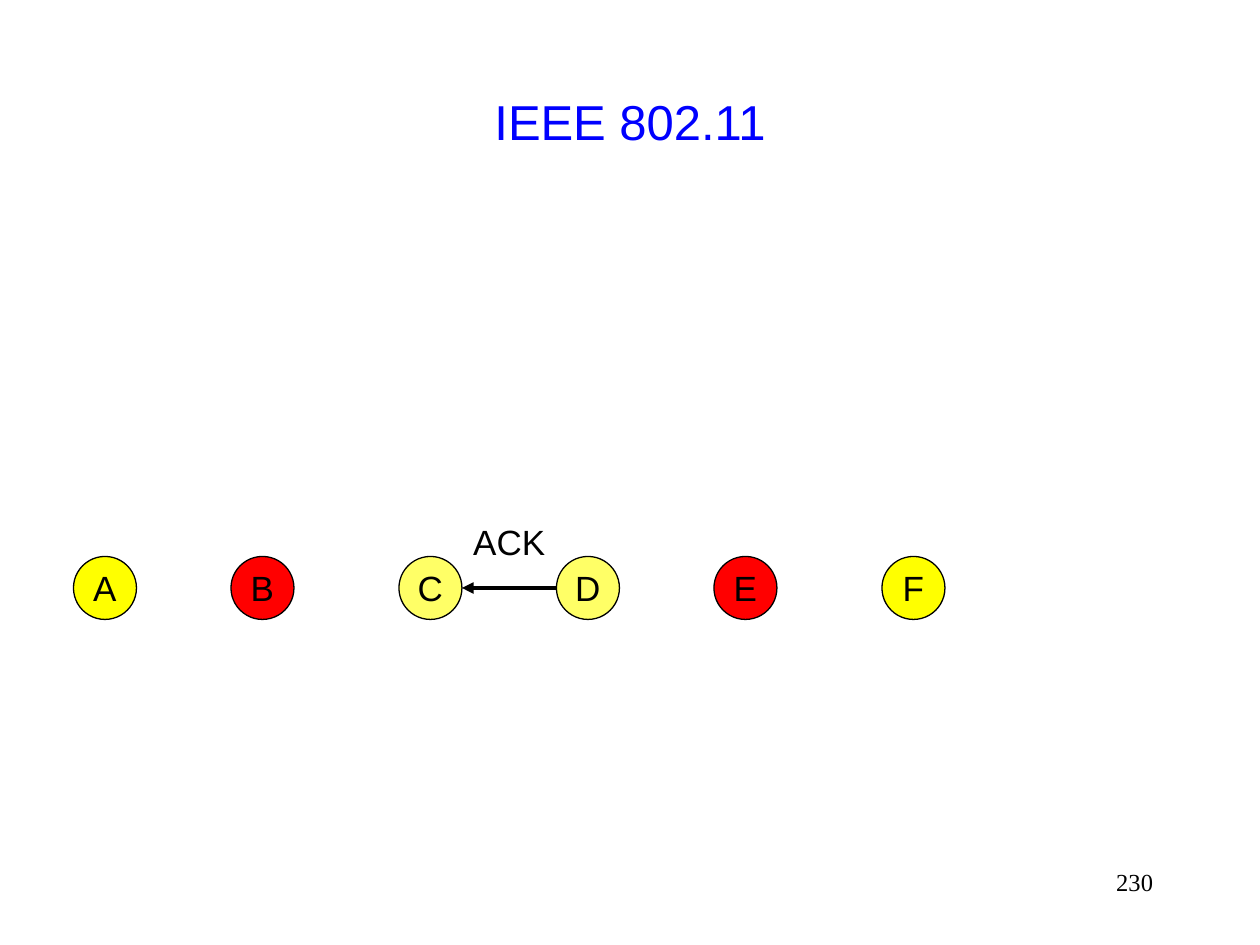
from lxml.etree import SubElement
from pptx import Presentation
from pptx.dml.color import RGBColor
from pptx.enum.shapes import MSO_CONNECTOR, MSO_SHAPE
from pptx.enum.text import MSO_ANCHOR, MSO_AUTO_SIZE, PP_ALIGN
from pptx.oxml.ns import qn
from pptx.util import Emu, Pt

PX = 7620  # 120 px to the inch
BLACK, BLUE = "000000", "0000FF"
YELLOW, PALE_YELLOW, RED = "FFFF00", "FFFF66", "FF0000"
NODE_SIZE = 60
NODES = [
    ("A", 0, YELLOW),
    ("B", 150, RED),
    ("C", 310, PALE_YELLOW),
    ("D", 460, PALE_YELLOW),
    ("E", 610, RED),
    ("F", 770, YELLOW),
]


def px(*lengths):
    return [Emu(length * PX) for length in lengths]


def color(hex_string):
    return RGBColor.from_string(hex_string)


def write(shape, text, size, font="Arial", fill=BLACK, align=PP_ALIGN.CENTER,
          anchor=MSO_ANCHOR.MIDDLE, wrap=False):
    frame = shape.text_frame
    frame.word_wrap = wrap
    frame.vertical_anchor = anchor
    paragraph = frame.paragraphs[0]
    paragraph.alignment = align
    run = paragraph.add_run()
    run.text = text
    run.font.name = font
    run.font.size = Pt(size)
    run.font.color.rgb = color(fill)


def add_title(slide, left, top, width, height):
    title = slide.shapes.title
    title.left, title.top, title.width, title.height = px(left, top, width, height)
    write(title, "IEEE 802.11", 28, fill=BLUE, wrap=True)


def add_node(slide, name, left, top, fill):
    node = slide.shapes.add_shape(
        MSO_SHAPE.OVAL, *px(left, top, NODE_SIZE, NODE_SIZE))
    node.shadow.inherit = False
    node.fill.solid()
    node.fill.fore_color.rgb = color(fill)
    node.line.color.rgb = color(BLACK)
    node.line.width = Pt(0.75)
    write(node, name, 20)
    return node


def add_ack(slide, receiver, sender):
    """Draw the labelled arrow that runs from the sender back to the receiver."""
    start, end = receiver.left + receiver.width, sender.left
    middle = receiver.top + receiver.height // 2
    arrow = slide.shapes.add_connector(
        MSO_CONNECTOR.STRAIGHT, start, middle, end, middle)
    arrow.line.color.rgb = color(BLACK)
    arrow.line.width = Pt(2.25)
    properties = arrow.element.spPr
    SubElement(properties.find(qn("a:ln")), qn("a:headEnd"), type="triangle")
    SubElement(properties, qn("a:effectLst"))

    width, height, rise = px(98, 53, 40)
    label = slide.shapes.add_textbox(
        (start + end - width) // 2, receiver.top - rise, width, height)
    write(label, "ACK", 20, anchor=MSO_ANCHOR.TOP)
    label.text_frame.auto_size = MSO_AUTO_SIZE.SHAPE_TO_FIT_TEXT


def add_node_chain(slide, left, top):
    nodes = {name: add_node(slide, name, left + offset, top, fill)
             for name, offset, fill in NODES}
    add_ack(slide, nodes["C"], nodes["D"])


def add_page_number(slide, left, top, width, height):
    box = slide.shapes.add_textbox(*px(left, top, width, height))
    write(box, "230", 14, font="Times New Roman", align=PP_ALIGN.RIGHT,
          anchor=MSO_ANCHOR.TOP, wrap=True)


def main():
    presentation = Presentation()
    presentation.slide_width, presentation.slide_height = px(1200, 900)
    slide = presentation.slides.add_slide(presentation.slide_layouts[5])
    add_title(slide, 90, 40, 1020, 150)
    add_node_chain(slide, 70, 530)
    add_page_number(slide, 860, 820, 250, 60)
    presentation.save("out.pptx")


if __name__ == "__main__":
    main()
